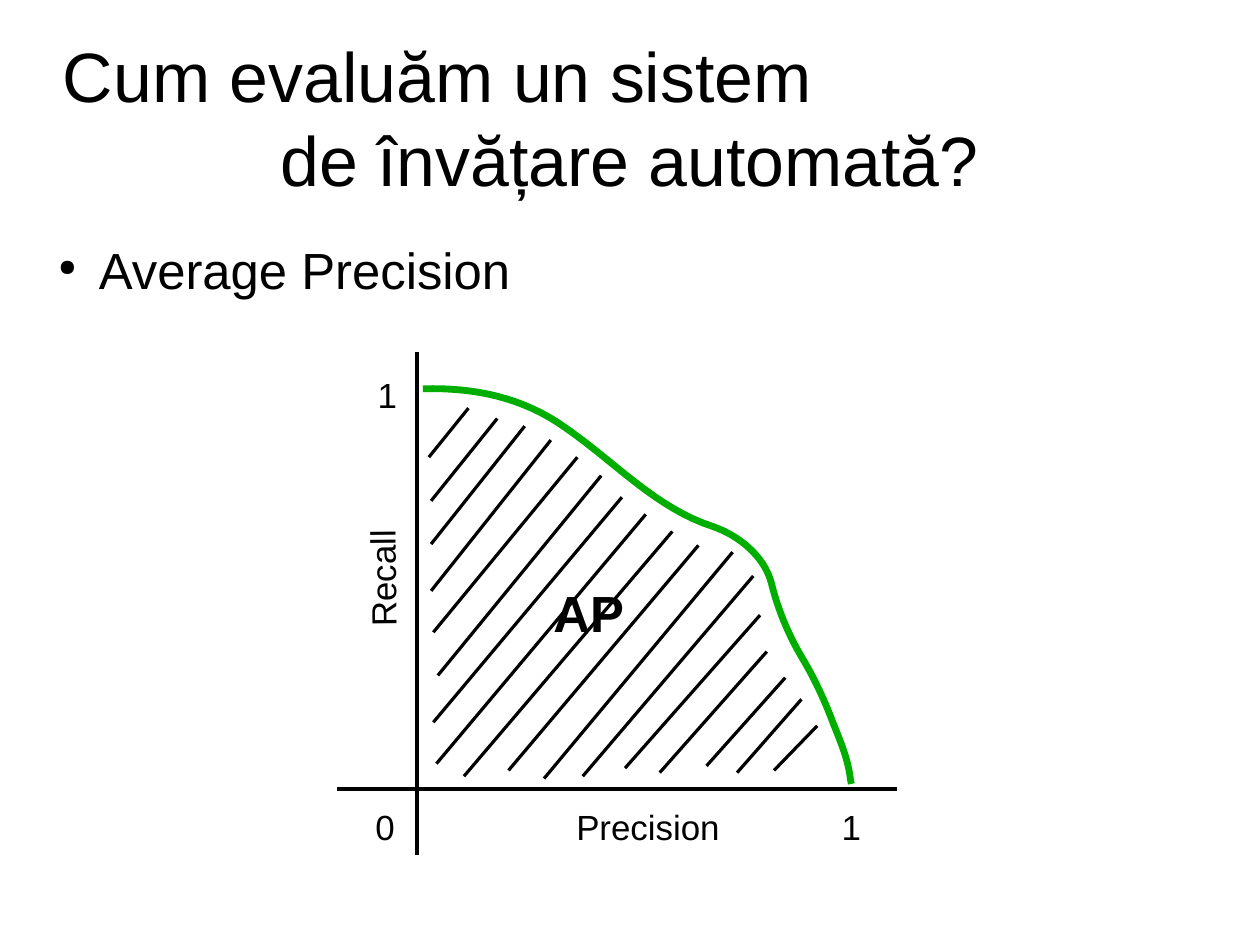
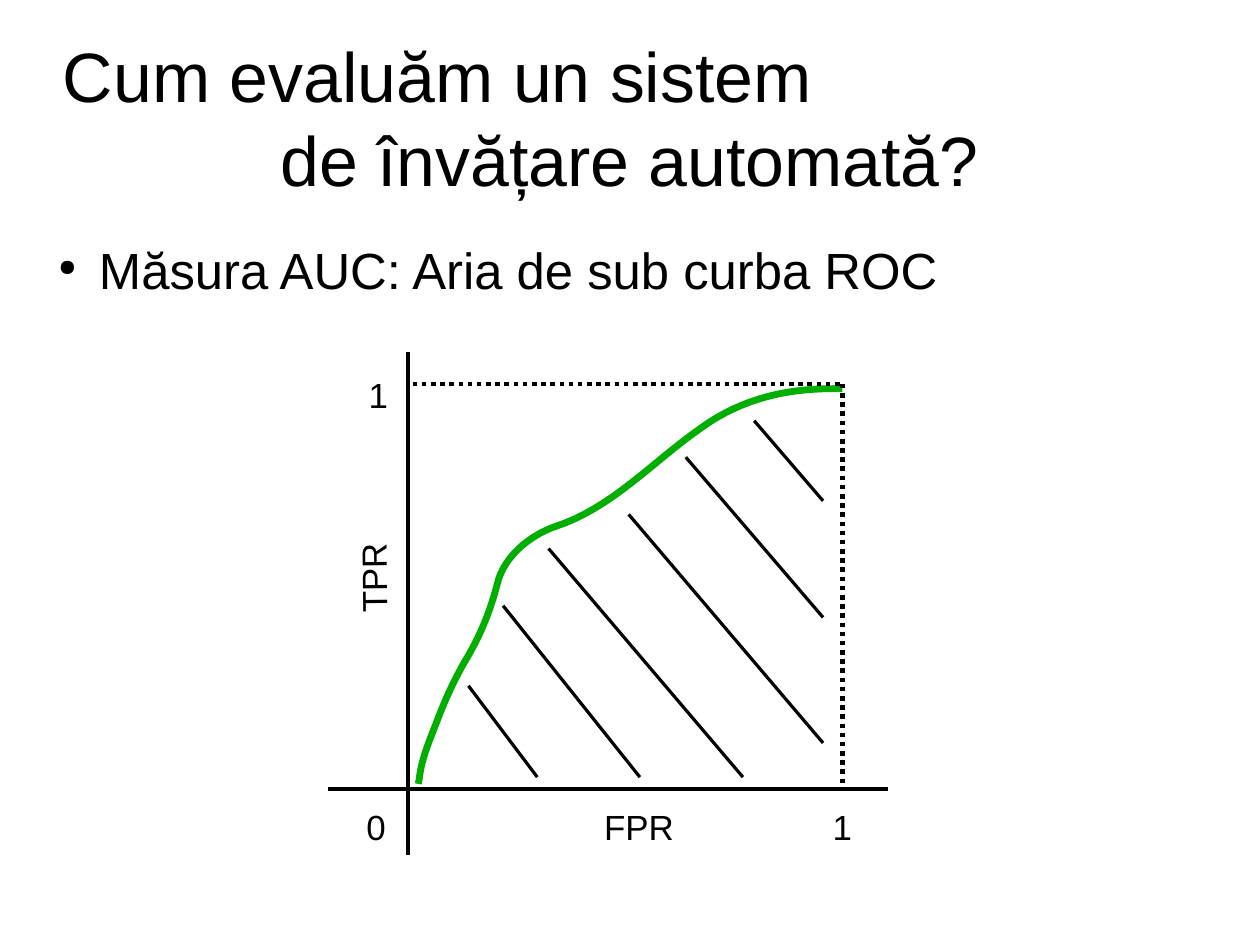
from dataclasses import dataclass
from typing import NamedTuple

from lxml.etree import SubElement
from pptx import Presentation
from pptx.dml.color import RGBColor
from pptx.enum.dml import MSO_LINE
from pptx.enum.shapes import MSO_CONNECTOR
from pptx.enum.text import MSO_ANCHOR, MSO_AUTO_SIZE, PP_ALIGN
from pptx.oxml.ns import qn
from pptx.slide import Slide
from pptx.text.text import TextFrame
from pptx.util import Cm, Pt


@dataclass(frozen=True)
class Theme:
    font: str = "Arial"
    ink: RGBColor = RGBColor(0, 0, 0)
    curve: RGBColor = RGBColor(0, 0xAE, 0)
    title_size: float = 44
    body_size: float = 32
    label_size: float = 22
    axis_width: float = 2.89
    curve_width: float = 4.31
    hatch_width: float = 0


class Point(NamedTuple):
    x: float
    y: float


class Segment(NamedTuple):
    x1: float
    y1: float
    x2: float
    y2: float


class Label(NamedTuple):
    text: str
    left: float
    top: float
    width: float
    height: float = 1.12
    rotation: float = 0


@dataclass(frozen=True)
class Plot:
    bullet: str
    bullet_width: float
    axis_x: float
    x_name: str
    y_name: str
    mirrored: bool
    hatch: tuple[Segment, ...]
    guides: tuple[Segment, ...] = ()
    area_name: str = ""


THEME = Theme()
TITLE_LINES = (
    ("Cum evaluăm un sistem", PP_ALIGN.LEFT),
    ("de învățare automată?", PP_ALIGN.CENTER),
)
AXIS_Y = 17.53
CURVE_START = Point(0.13, 8.64)
CURVE_END = Point(9.65, 17.42)
MIRROR_SCALE = 0.99
STEPS = 16
CURVE_ARCS = (
    (Point(1.24, 8.61), Point(2.34, 8.81), Point(3.33, 9.53)),
    (Point(4.39, 10.26), Point(5.31, 11.3), Point(6.6, 11.71)),
    (Point(7.16, 11.91), Point(7.72, 12.37), Point(7.87, 12.95)),
    (Point(8.03, 13.59), Point(8.28, 14.17), Point(8.61, 14.71)),
    (Point(8.86, 15.14), Point(9.07, 15.6), Point(9.25, 16.08)),
    (Point(9.4, 16.46), Point(9.58, 16.87), Point(9.63, 17.32)),
)

PLOTS = (
    Plot(
        "Average Precision", 18.75, 9.27, "Precision", "Recall", False,
        hatch=(
            Segment(10.41, 9.07, 9.53, 10.16),
            Segment(11.05, 9.3, 9.58, 11.13),
            Segment(11.66, 9.47, 9.58, 12.09),
            Segment(12.24, 9.78, 9.58, 13.13),
            Segment(12.83, 10.16, 9.63, 14.05),
            Segment(13.36, 10.57, 9.73, 15.01),
            Segment(13.82, 11.05, 9.63, 16.05),
            Segment(14.35, 11.43, 9.7, 16.97),
            Segment(14.94, 11.81, 10.31, 17.25),
            Segment(15.52, 12.12, 11.3, 17.12),
            Segment(16.28, 12.27, 12.09, 17.3),
            Segment(16.74, 12.8, 12.95, 17.25),
            Segment(16.89, 13.67, 13.89, 17.07),
            Segment(17.04, 14.48, 14.66, 17.17),
            Segment(17.45, 15.06, 15.7, 17.02),
            Segment(17.81, 15.54, 16.38, 17.17),
            Segment(18.16, 16.13, 17.2, 17.12),
        ),
        area_name="AP",
    ),
    Plot(
        "Măsura AUC: Aria de sub curba ROC", 25.93, 9.07, "FPR", "TPR", True,
        hatch=(
            Segment(10.41, 15.24, 11.94, 17.27),
            Segment(11.18, 13.46, 14.22, 17.27),
            Segment(12.19, 12.19, 16.51, 17.27),
            Segment(13.97, 11.43, 18.29, 16.51),
            Segment(15.24, 10.16, 18.29, 13.72),
            Segment(16.76, 9.35, 18.29, 11.13),
        ),
        guides=(
            Segment(9.17, 8.53, 18.72, 8.53),
            Segment(18.72, 8.53, 18.72, 17.42),
        ),
    ),
)


def style_para(para, size: float, align: PP_ALIGN, bold: bool = False) -> None:
    para.alignment = align
    para.font.name = THEME.font
    para.font.size = Pt(size)
    para.font.bold = bold
    para.font.color.rgb = THEME.ink


def clear_margins(frame: TextFrame) -> None:
    frame.margin_left = frame.margin_right = 0
    frame.margin_top = frame.margin_bottom = 0


def set_title(page: Slide) -> None:
    title = page.shapes.title
    title.left, title.top = Cm(1.4), Cm(0.84)
    title.width, title.height = Cm(25.2), Cm(3.5)
    frame = title.text_frame
    clear_margins(frame)
    frame.word_wrap = True
    frame.auto_size = MSO_AUTO_SIZE.NONE
    frame.vertical_anchor = MSO_ANCHOR.MIDDLE
    frame.text = "\n".join(text for text, _ in TITLE_LINES)
    for para, (_, align) in zip(frame.paragraphs, TITLE_LINES):
        style_para(para, THEME.title_size, align)


def add_bullet(page: Slide, text: str, width: float) -> None:
    box = page.shapes.add_textbox(Cm(1), Cm(5.31), Cm(width), Cm(15.24))
    frame = box.text_frame
    frame.word_wrap = True
    clear_margins(frame)
    para = frame.paragraphs[0]
    para.text = text
    properties = para._p.get_or_add_pPr()
    properties.set("marL", str(Cm(1.2)))
    properties.set("indent", str(Cm(-0.9)))
    color = SubElement(properties, qn("a:buClr"))
    SubElement(color, qn("a:srgbClr"), val=str(THEME.ink))
    SubElement(properties, qn("a:buSzPct"), val="45000")
    SubElement(properties, qn("a:buChar"), char="●")
    para.space_after = Pt(14.1)
    style_para(para, THEME.body_size, PP_ALIGN.LEFT)


def add_label(page: Slide, label: Label, size: float, bold: bool = False) -> None:
    box = page.shapes.add_textbox(
        Cm(label.left), Cm(label.top), Cm(label.width), Cm(label.height)
    )
    box.rotation = label.rotation
    box.text_frame.word_wrap = True
    para = box.text_frame.paragraphs[0]
    para.text = label.text
    style_para(para, size, PP_ALIGN.CENTER, bold)


def add_line(
    page: Slide, segment: Segment, width: float, dash: MSO_LINE | None = None
) -> None:
    line = page.shapes.add_connector(
        MSO_CONNECTOR.STRAIGHT, *(Cm(value) for value in segment)
    )
    line.line.color.rgb = THEME.ink
    line.line.width = Pt(width)
    if dash is not None:
        line.line.dash_style = dash
    SubElement(line._element.spPr, qn("a:effectLst"))


def curve_points() -> list[Point]:
    points = [CURVE_START]
    for first, second, end in CURVE_ARCS:
        start = points[-1]
        for step in range(1, STEPS + 1):
            t = step / STEPS
            weights = ((1 - t) ** 3, 3 * t * (1 - t) ** 2, 3 * t**2 * (1 - t), t**3)
            knots = (start, first, second, end)
            points.append(
                Point(
                    sum(w * knot.x for w, knot in zip(weights, knots)),
                    sum(w * knot.y for w, knot in zip(weights, knots)),
                )
            )
    return points + [CURVE_END]


def add_curve(page: Slide, plot: Plot) -> None:
    points = curve_points()
    if plot.mirrored:
        points = [
            Point(CURVE_END.x - (x - CURVE_START.x) * MIRROR_SCALE, y)
            for x, y in points
        ]
    start, *rest = [(Cm(plot.axis_x + x), Cm(y)) for x, y in points]
    builder = page.shapes.build_freeform(*start)
    builder.add_line_segments(rest, close=False)
    curve = builder.convert_to_shape()
    curve.shadow.inherit = False
    curve.fill.background()
    curve.line.color.rgb = THEME.curve
    curve.line.width = Pt(THEME.curve_width)


def add_plot(page: Slide, plot: Plot) -> None:
    x = plot.axis_x
    for axis in (
        Segment(x, 7.82, x, 19),
        Segment(x - 1.78, AXIS_Y, x + 10.67, AXIS_Y),
    ):
        add_line(page, axis, THEME.axis_width)
    for label in (
        Label(plot.x_name, x + 0.94, 17.78, 8.38),
        Label(plot.y_name, x - 5, 12.29, 8.38, rotation=269.4),
        Label("1", x + 8.89, 17.78, 1.52),
        Label("0", x - 1.47, 17.78, 1.52),
        Label("1", x - 1.42, 8.18, 1.52),
    ):
        add_label(page, label, THEME.label_size)
    add_curve(page, plot)
    for guide in plot.guides:
        add_line(page, guide, THEME.axis_width, MSO_LINE.ROUND_DOT)
    for segment in plot.hatch:
        add_line(page, segment, THEME.hatch_width)
    if plot.area_name:
        area = Label(plot.area_name, 11, 12.8, 4.17, 1.6)
        add_label(page, area, THEME.body_size, bold=True)


def main() -> None:
    deck = Presentation()
    deck.slide_width, deck.slide_height = Cm(28), Cm(21)
    for plot in PLOTS:
        page = deck.slides.add_slide(deck.slide_layouts[5])
        set_title(page)
        add_bullet(page, plot.bullet, plot.bullet_width)
        add_plot(page, plot)
    deck.save("out.pptx")


if __name__ == "__main__":
    main()
